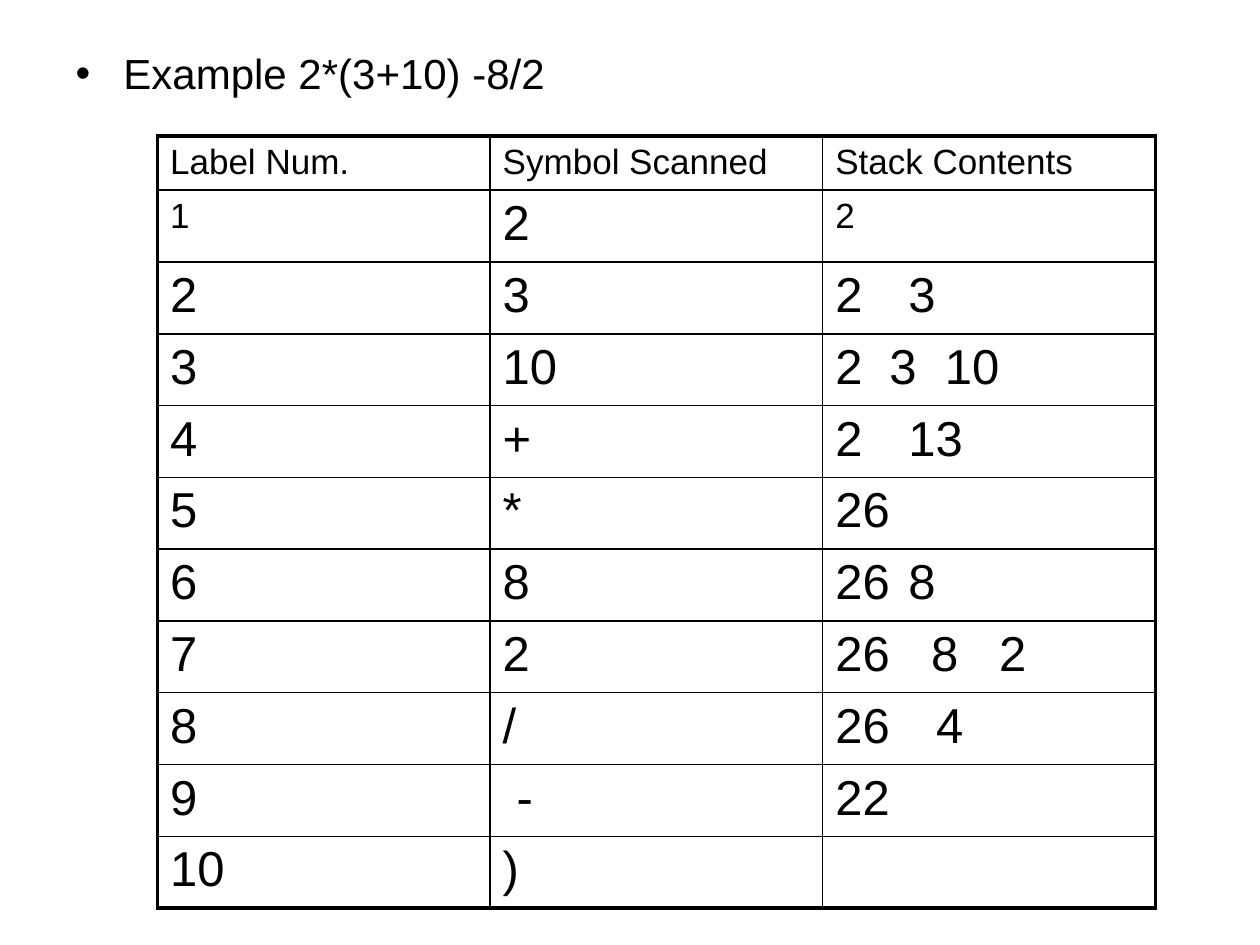
from lxml.etree import SubElement
from pptx import Presentation
from pptx.dml.color import RGBColor
from pptx.enum.text import MSO_ANCHOR, MSO_AUTO_SIZE
from pptx.oxml.ns import qn
from pptx.util import Inches, Pt

FONT = "Arial"
BLACK = "000000"
THIN, THICK = 1, 2.25
HEADER_SIZE, BODY_SIZE = 20, 28
HEADER_HEIGHT, ROW_HEIGHT = 0.43, 0.57
COLUMN_WIDTH = 2.64
NUMBER_INDENT = 0.58

HEADERS = ["Label Num.", "Symbol Scanned", "Stack Contents"]
SYMBOLS = ["2", "3", "10", "+", "*", "8", "2", "/", "-", ")"]
STACKS = [
    {"text": "2"},
    {"text": "3", "start": 2},
    {"text": "2\t3\t10", "tabs": (0.43, 0.87)},
    {"text": "13", "start": 2},
    {"text": "26"},
    {"text": "8", "start": 26},
    {"text": "26\t8\t2", "tabs": (0.76, 1.3)},
    {"text": "4", "start": 26, "indent": 0.8},
    {"text": "22"},
    {"text": ""},
]


def color(value):
    return RGBColor.from_string(value)


def format_paragraph(paragraph, size):
    paragraph.space_before = Pt(0)
    paragraph.font.name = FONT
    paragraph.font.size = Pt(size)
    paragraph.font.color.rgb = color(BLACK)


def set_hanging_indent(properties, left, hanging):
    properties.set("marL", str(Inches(left)))
    properties.set("indent", str(-Inches(hanging)))


def add_bullet_line(slide, text):
    placeholder = slide.placeholders[1]
    placeholder.left, placeholder.top = Inches(0.5), Inches(0.33)
    placeholder.width, placeholder.height = Inches(4.42), Inches(0.5)
    frame = placeholder.text_frame
    frame.word_wrap = True
    frame.auto_size = MSO_AUTO_SIZE.NONE
    frame.vertical_anchor = MSO_ANCHOR.TOP
    frame.text = text
    paragraph = frame.paragraphs[0]
    properties = paragraph._p.get_or_add_pPr()
    set_hanging_indent(properties, 0.38, 0.38)
    SubElement(properties, qn("a:buChar"), char="•")
    format_paragraph(paragraph, 24)


def set_borders(cell, widths):
    properties = cell._tc.get_or_add_tcPr()
    for side, width in zip("LRTB", widths):
        line = SubElement(properties, qn(f"a:ln{side}"), w=str(Pt(width)))
        fill = SubElement(line, qn("a:solidFill"))
        SubElement(fill, qn("a:srgbClr"), val=BLACK)


def fill_cell(cell, size, text, start=None, indent=0, tabs=()):
    cell.text = text
    paragraph = cell.text_frame.paragraphs[0]
    properties = paragraph._p.get_or_add_pPr()
    if start:
        left = indent or NUMBER_INDENT
        set_hanging_indent(properties, left, left)
        SubElement(properties, qn("a:buAutoNum"), type="arabicPlain", startAt=str(start))
    elif indent:
        set_hanging_indent(properties, indent, 0)
    if tabs:
        tab_list = SubElement(properties, qn("a:tabLst"))
        for position in tabs:
            SubElement(tab_list, qn("a:tab"), pos=str(Inches(position)), algn="l")
    format_paragraph(paragraph, size)


def add_stack_table(slide):
    row_count, column_count = len(STACKS) + 1, len(HEADERS)
    table = slide.shapes.add_table(
        row_count, column_count, Inches(1.25), Inches(1.08),
        Inches(COLUMN_WIDTH * column_count),
        Inches(HEADER_HEIGHT + ROW_HEIGHT * len(STACKS)),
    ).table
    table.first_row = table.horz_banding = False
    for column in table.columns:
        column.width = Inches(COLUMN_WIDTH)

    rows = [[{"text": header} for header in HEADERS]]
    for number, (symbol, stack) in enumerate(zip(SYMBOLS, STACKS), 1):
        symbol_entry = {"text": symbol, "indent": 0.11 if symbol == "-" else 0}
        rows.append([{"text": str(number)}, symbol_entry, stack])

    for row, entries in enumerate(rows):
        table.rows[row].height = Inches(ROW_HEIGHT if row else HEADER_HEIGHT)
        for column, entry in enumerate(entries):
            cell = table.cell(row, column)
            small = row == 0 or (row == 1 and column != 1)
            fill_cell(cell, HEADER_SIZE if small else BODY_SIZE, **entry)
            outer = (column == 0, column == column_count - 1,
                     row == 0, row == row_count - 1)
            set_borders(cell, [THICK if edge else THIN for edge in outer])
            cell.fill.background()


def main():
    presentation = Presentation()
    presentation.slide_width, presentation.slide_height = Inches(10), Inches(7.5)
    slide = presentation.slides.add_slide(presentation.slide_layouts[1])
    title = slide.shapes.title
    title.element.getparent().remove(title.element)
    add_bullet_line(slide, "Example 2*(3+10) -8/2")
    add_stack_table(slide)
    presentation.save("out.pptx")


if __name__ == "__main__":
    main()
